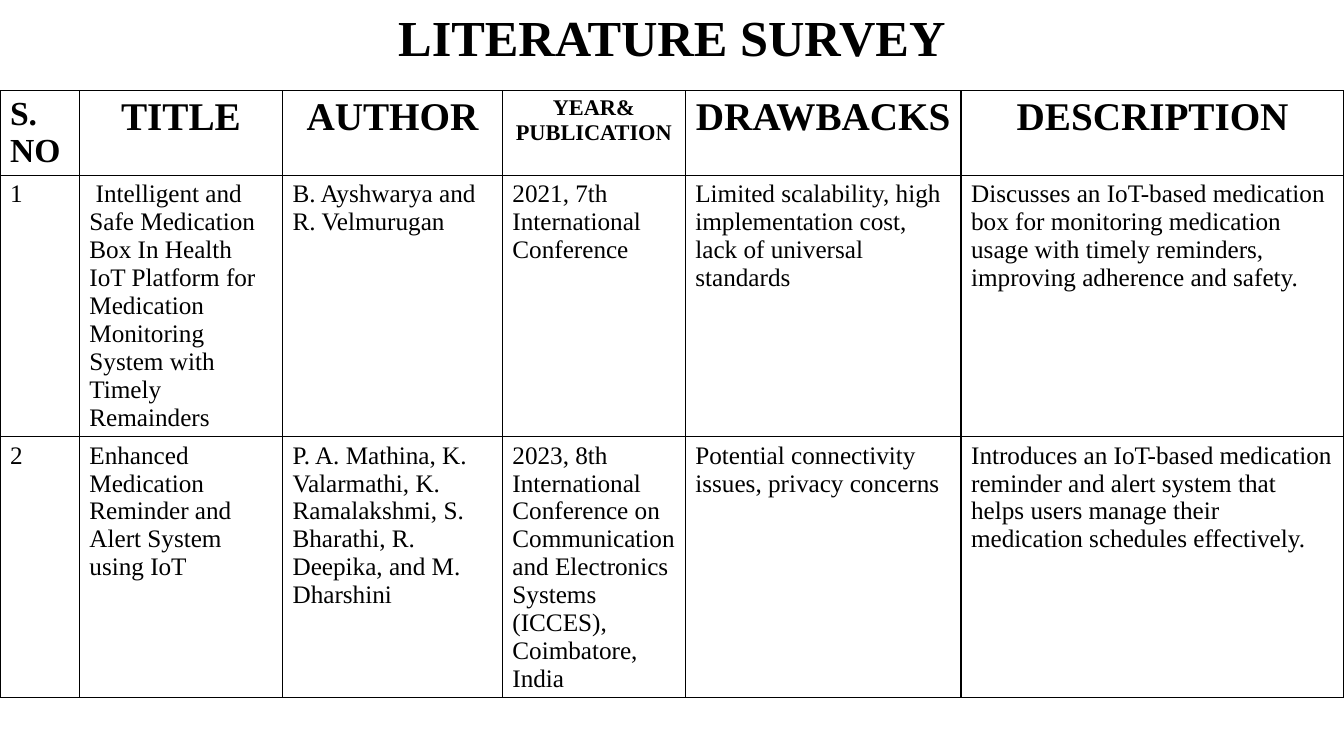
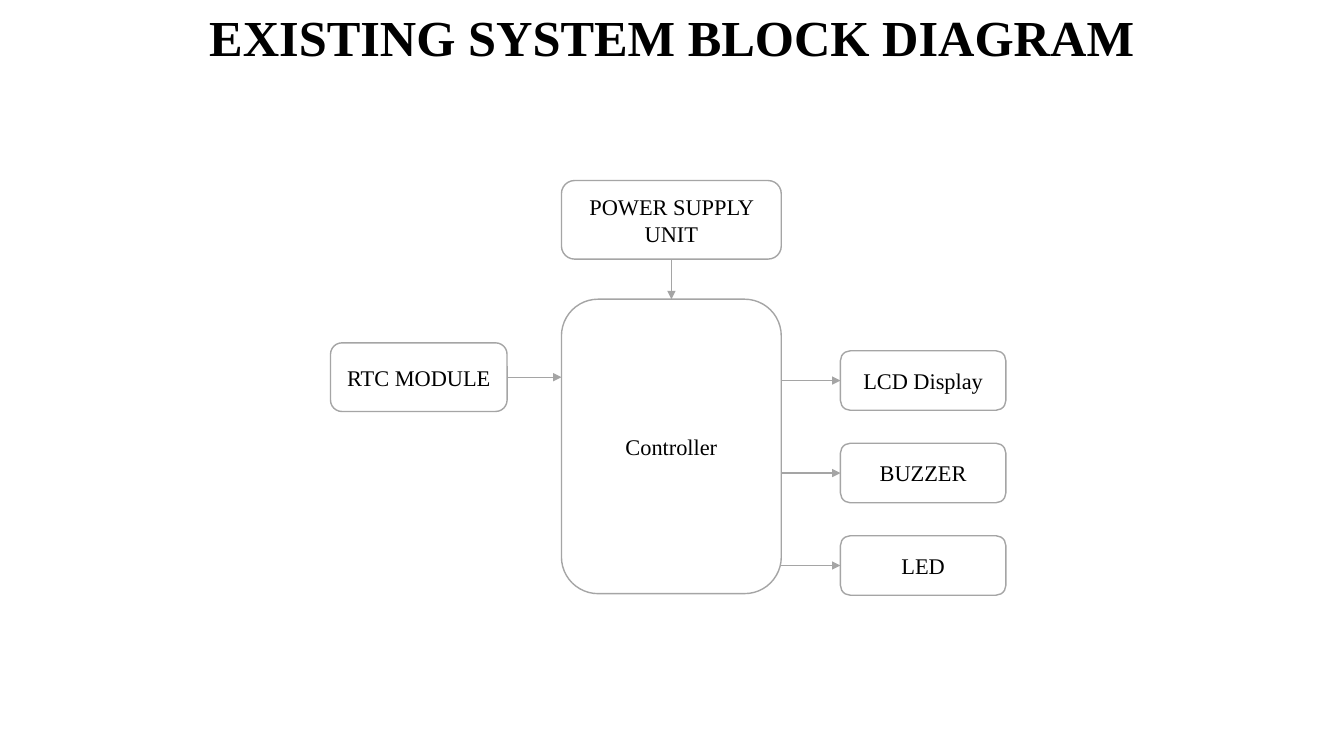
from lxml.etree import SubElement
from pptx import Presentation
from pptx.dml.color import RGBColor
from pptx.enum.shapes import MSO_CONNECTOR, MSO_SHAPE
from pptx.enum.text import MSO_ANCHOR, PP_ALIGN
from pptx.oxml import parse_xml
from pptx.oxml.ns import nsdecls, qn
from pptx.util import Cm, Pt

HEX = {"ink": "000000", "paper": "FFFFFF", "line": "A5A5A5"}
RGB = {name: RGBColor.from_string(code) for name, code in HEX.items()}


def style(frame, size, bold=False, align=PP_ALIGN.CENTER):
    for para in frame.paragraphs:
        para.alignment = align
        para.font.name = "Times New Roman"
        para.font.size = Pt(size)
        para.font.bold = bold
        para.font.color.rgb = RGB["ink"]


deck = Presentation()
deck.slide_width, deck.slide_height = Cm(33.87), Cm(19.05)

# Slides with their titles
slides = []
for text in ("LITERATURE SURVEY", "EXISTING SYSTEM BLOCK DIAGRAM"):
    slide = deck.slides.add_slide(deck.slide_layouts[5])
    title = slide.shapes.title
    title.left, title.top, title.width, title.height = Cm(2.33), Cm(0), Cm(29.21), Cm(2.03)
    title.text_frame.text = text
    title.text_frame.vertical_anchor = MSO_ANCHOR.MIDDLE
    style(title.text_frame, 36, True)
    title.text_frame.paragraphs[0].line_spacing = 0.9
    slides.append(slide)
survey, diagram = slides

# Survey table
rows = [
    ["S.\nNO", "TITLE", "AUTHOR", "YEAR&\nPUBLICATION", "DRAWBACKS", "DESCRIPTION"],
    ["1",
     " Intelligent and Safe Medication Box In Health IoT Platform for Medication "
     "Monitoring System with Timely Remainders",
     "B. Ayshwarya and R. Velmurugan",
     "2021, 7th International Conference",
     "Limited scalability, high implementation cost, lack of universal standards",
     "Discusses an IoT-based medication box for monitoring medication usage with "
     "timely reminders, improving adherence and safety."],
    ["2",
     "Enhanced Medication Reminder and Alert System using IoT",
     "P. A. Mathina, K. Valarmathi, K. Ramalakshmi, S. Bharathi, R. Deepika, and M. Dharshini",
     "2023, 8th International Conference on Communication and Electronics Systems "
     "(ICCES), Coimbatore, India",
     "Potential connectivity issues, privacy concerns",
     "Introduces an IoT-based medication reminder and alert system that helps users "
     "manage their medication schedules effectively."],
]
widths = [2, 5.12, 5.54, 4.61, 6.95, 9.65]
heights = [2.13, 6.57, 6.57]
sizes = [24, 28, 28, 16, 28, 28]

table = survey.shapes.add_table(
    len(rows), len(widths), Cm(0), Cm(2.29), Cm(sum(widths)), Cm(sum(heights))).table
table.horz_banding = False
for col, width in zip(table.columns, widths):
    col.width = Cm(width)
for r, row in enumerate(rows):
    table.rows[r].height = Cm(heights[r])
    for c, text in enumerate(row):
        cell = table.cell(r, c)
        cell.text = text
        cell.fill.solid()
        cell.fill.fore_color.rgb = RGB["paper"]
        head = r == 0
        align = PP_ALIGN.CENTER if head and c > 0 else PP_ALIGN.LEFT
        style(cell.text_frame, sizes[c] if head else 18, head, align)
        # Borders come before the fill
        props = cell._tc.get_or_add_tcPr()
        for i, side in enumerate("LRTB"):
            props.insert(i, parse_xml(
                f'<a:ln{side} {nsdecls("a")} w="12700"><a:solidFill>'
                f'<a:srgbClr val="{HEX["ink"]}"/></a:solidFill></a:ln{side}>'))

# Diagram boxes: left, top, width, height
left, right, mid = 14.15, 19.69, 16.92
out, first, step, tall = 21.18, 8.84, 2.33, 1.5
specs = {
    "Controller": (left, 7.54, right - left, 7.42),
    "POWER SUPPLY UNIT": (left, 4.55, right - left, 1.98),
    "RTC MODULE": (8.33, 8.64, 4.45, 1.73),
}
outs = ["LCD Display", "BUZZER", "LED"]
for i, text in enumerate(outs):
    specs[text] = (out, first + i * step, 4.17, tall)

boxes = {}
for text, place in specs.items():
    box = diagram.shapes.add_shape(MSO_SHAPE.ROUNDED_RECTANGLE, *map(Cm, place))
    box.shadow.inherit = False
    box.fill.solid()
    box.fill.fore_color.rgb = RGB["paper"]
    box.line.color.rgb = RGB["line"]
    box.line.width = Pt(1)
    box.text_frame.text = text
    box.text_frame.word_wrap = True
    style(box.text_frame, 16)
    boxes[text] = box

# Arrows: ends, then the joined box and side at each end
core = boxes["Controller"]
links = [
    ((mid, 6.53, mid, 7.54), (boxes["POWER SUPPLY UNIT"], 2), (core, 0)),
    ((12.78, 9.5, left, 9.5), (boxes["RTC MODULE"], 3), None),
]
for i, text in enumerate(outs):
    y = first + i * step + tall / 2
    links.append(((right, y, out, y), None, (boxes[text], 1)))

for ends, start, stop in links:
    arrow = diagram.shapes.add_connector(MSO_CONNECTOR.STRAIGHT, *map(Cm, ends))
    if start:
        arrow.begin_connect(*start)
    if stop:
        arrow.end_connect(*stop)
    # Keep level arrows level after joining
    if start and not stop:
        arrow.end_y = arrow.begin_y
    if stop and not start:
        arrow.begin_y = arrow.end_y
    arrow.line.color.rgb = RGB["line"]
    arrow.line.width = Pt(1)
    SubElement(arrow.line._get_or_add_ln(), qn("a:tailEnd"), type="triangle")
    SubElement(arrow._element.spPr, qn("a:effectLst"))

deck.save("out.pptx")
